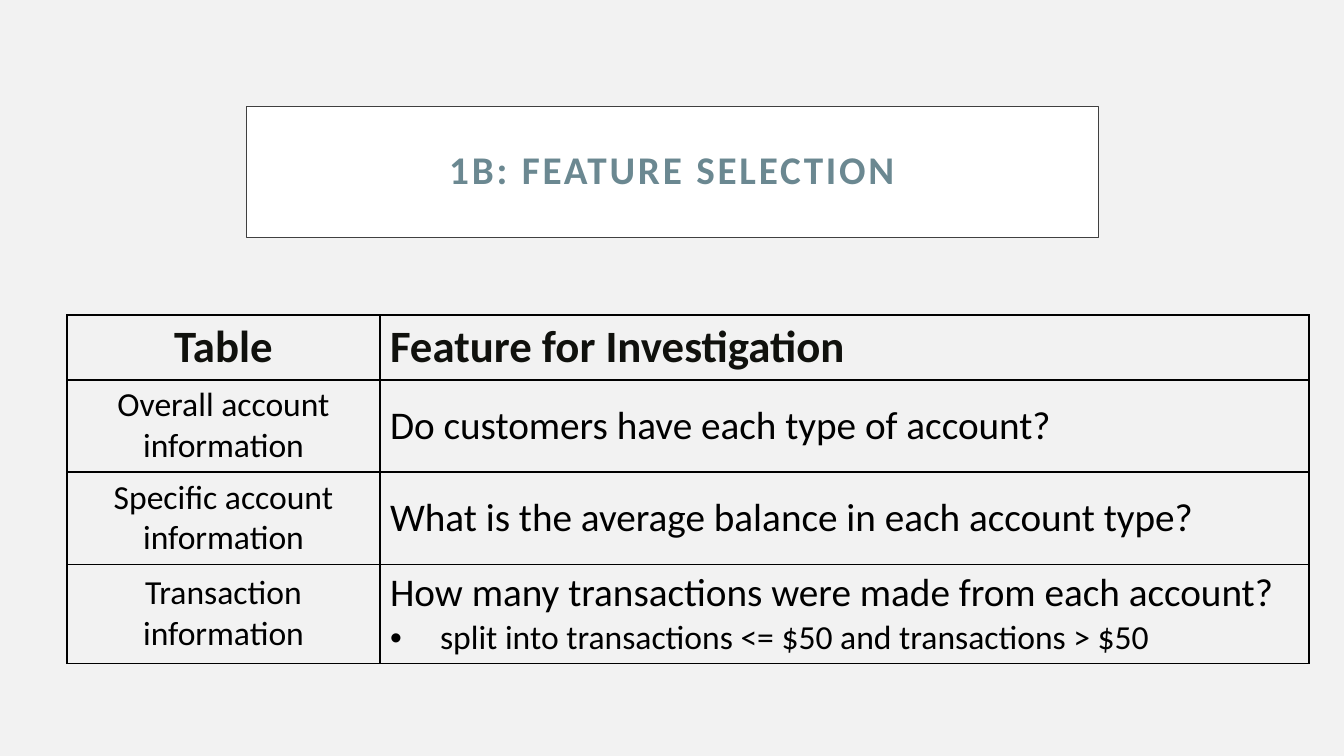
"""Build the feature selection slide: a boxed title above a bordered table."""
import pptx
import pptx.dml.color
import pptx.enum.shapes
import pptx.enum.text
import pptx.oxml
import pptx.oxml.ns
import pptx.util

PX = 914400 / 100.8
COLORS = {"bg": "F2F2F2", "box": "FFFFFF", "outline": "404040", "title": "6B8891",
          "header": "10110D", "body": "000000", "border": "000000"}
ALIGN = pptx.enum.text.PP_ALIGN
MIDDLE = pptx.enum.text.MSO_ANCHOR.MIDDLE


def px(*values):
    return [pptx.util.Emu(round(v * PX)) for v in values]


def write(p, text, size, color, bold, align):
    p.alignment = align
    r = p.add_run()
    r.text = text
    formats = {"name": "Calibri", "size": pptx.util.Pt(size), "bold": bold}
    for key, value in formats.items():
        setattr(r.font, key, value)
    r.font.color.rgb = pptx.dml.color.RGBColor.from_string(COLORS[color])
    return r


prs = pptx.Presentation()
prs.slide_width, prs.slide_height = px(1344, 756)
s = prs.slides.add_slide(prs.slide_layouts[6])
s.background.fill.solid()
s.background.fill.fore_color.rgb = pptx.dml.color.RGBColor.from_string(COLORS["bg"])

sp = s.shapes.add_shape(pptx.enum.shapes.MSO_SHAPE.RECTANGLE, *px(246, 106, 852, 131))
sp.shadow.inherit = False
sp.fill.solid()
sp.fill.fore_color.rgb = pptx.dml.color.RGBColor.from_string(COLORS["box"])
sp.line.color.rgb = pptx.dml.color.RGBColor.from_string(COLORS["outline"])
sp.line.width = pptx.util.Pt(0.5)
tf = sp.text_frame
margin = px(20)[0]
frame = {"word_wrap": True, "vertical_anchor": MIDDLE, "margin_left": margin,
         "margin_right": margin, "margin_top": margin, "margin_bottom": margin}
for key, value in frame.items():
    setattr(tf, key, value)
p = tf.paragraphs[0]
p.line_spacing = 0.9
r = write(p, "1B: FEATURE SELECTION", 28, "title", True, ALIGN.CENTER)
r.font._element.set("spc", "200")

rows = [
    ("Table", ["Feature for Investigation"]),
    ("Overall account information", ["Do customers have each type of account?"]),
    ("Specific account information", ["What is the average balance in each account type?"]),
    ("Transaction information", ["How many transactions were made from each account?",
                                 "split into transactions <= $50 and transactions > $50"]),
]
col_widths = px(313, 929)
row_heights = px(64, 92, 92, 99)
table = s.shapes.add_table(len(rows), 2, *px(67, 315, 1242, 347)).table
table.first_row = table.horz_banding = False
for column, width in zip(table.columns, col_widths):
    column.width = width
for row, height in zip(table.rows, row_heights):
    row.height = height

for i, (source, features) in enumerate(rows):
    header = i == 0
    color = "header" if header else "body"
    name_cell, feature_cell = table.rows[i].cells
    write(name_cell.text_frame.paragraphs[0], source, 32 if header else 24,
          color, header, ALIGN.CENTER)
    tf = feature_cell.text_frame
    write(tf.paragraphs[0], features[0], 32 if header else 28, color, header, ALIGN.LEFT)
    for detail in features[1:]:
        p = tf.add_paragraph()
        write(p, detail, 24, color, False, ALIGN.LEFT)
        pPr = p._p.get_or_add_pPr()
        indent = px(50)[0]
        pPr.set("marL", str(indent))
        pPr.set("indent", str(-indent))
        ns = pptx.oxml.ns.nsdecls("a")
        pPr.append(pptx.oxml.parse_xml(f'<a:buFont {ns} typeface="Arial"/>'))
        pPr.append(pptx.oxml.parse_xml(f'<a:buChar {ns} char="•"/>'))

for cell in table.iter_cells():
    cell.vertical_anchor = MIDDLE
    cell.fill.background()
    tcPr = cell._tc.get_or_add_tcPr()
    for k, side in enumerate(("lnL", "lnR", "lnT", "lnB")):
        tcPr.insert(k, pptx.oxml.parse_xml(
            f'<a:{side} {pptx.oxml.ns.nsdecls("a")} w="12700"><a:solidFill>'
            f'<a:srgbClr val="{COLORS["border"]}"/></a:solidFill></a:{side}>'))

prs.save("out.pptx")
